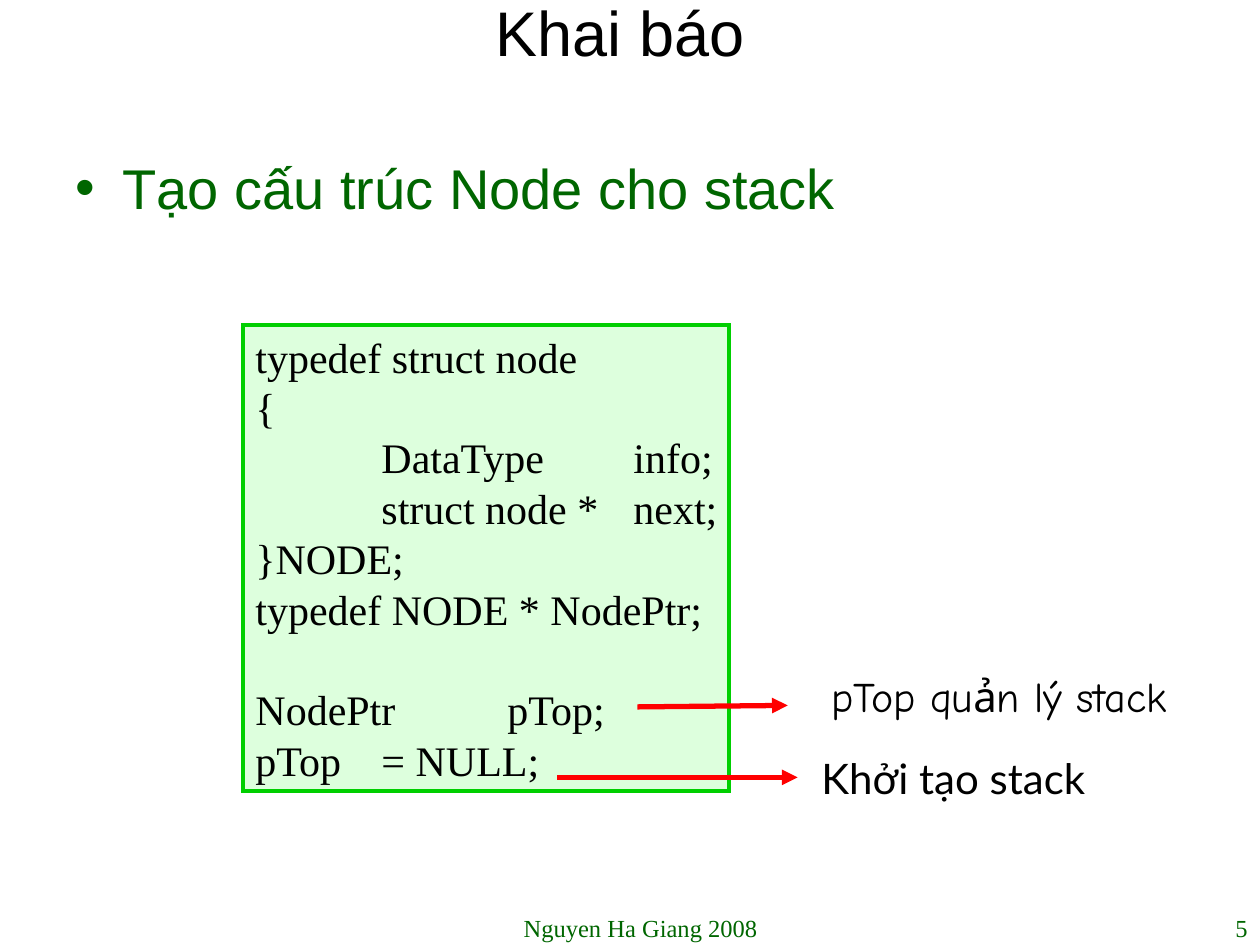
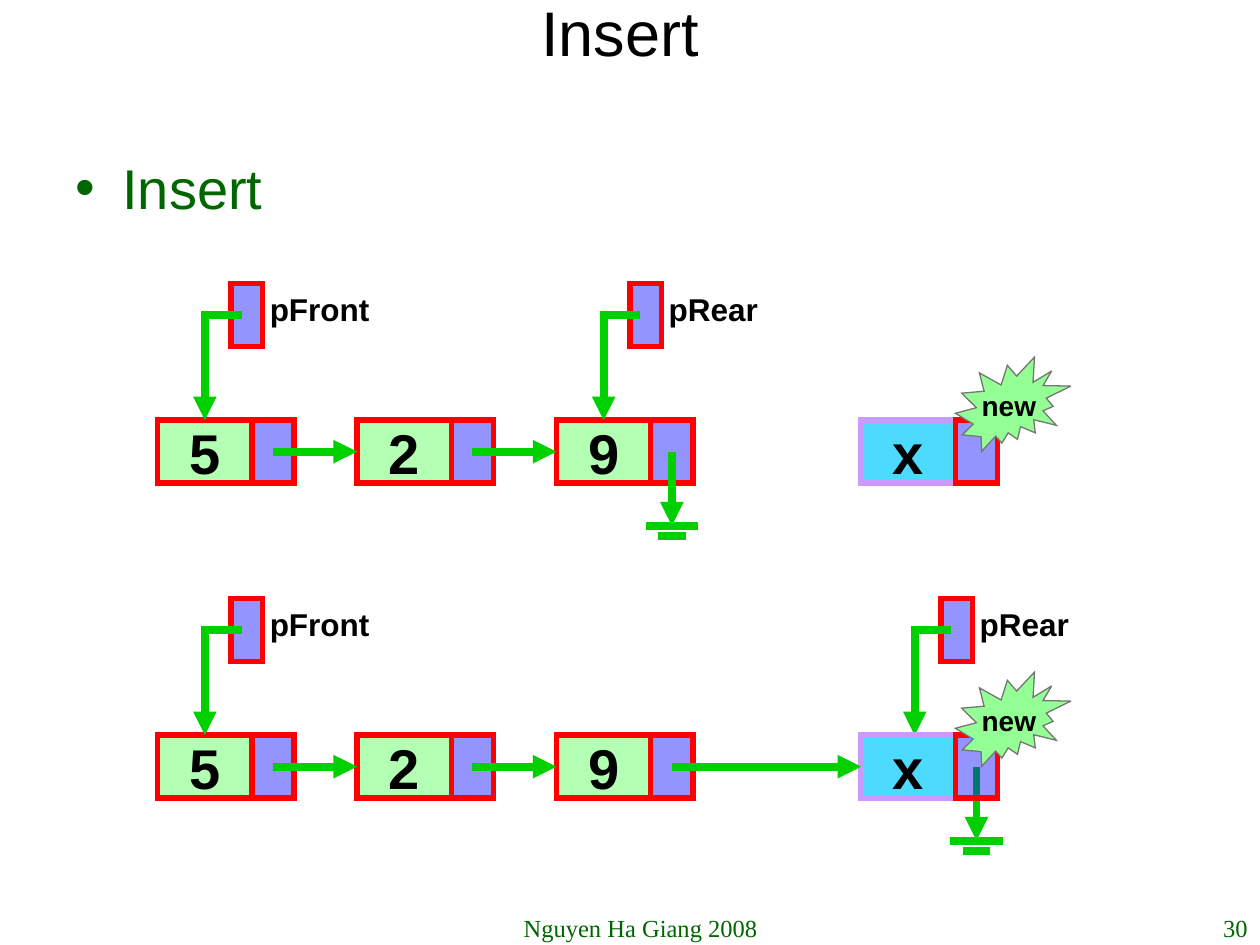
from lxml import etree
from pptx import Presentation
from pptx import util as u
from pptx.dml.color import RGBColor
from pptx.enum import shapes, text
from pptx.oxml.ns import qn

# Shared look; all lengths are centimetres
BLACK, DARK_GREEN, GREEN, RED = "000000", "006600", "00CF00", "FF0000"
LIME, BLUE, CYAN, LILAC, GREY = "94FF94", "0000FF", "00CCFF", "CC99FF", "757575"
SANS, SERIF = "Arial", "Times New Roman"
LEFT, CENTER, RIGHT = text.PP_ALIGN.LEFT, text.PP_ALIGN.CENTER, text.PP_ALIGN.RIGHT
TOP, MIDDLE = text.MSO_ANCHOR.TOP, text.MSO_ANCHOR.MIDDLE
FOOTER = "Nguyen Ha Giang 2008"

# Declaration slide
CODE = [
    "typedef struct node",
    "{",
    "\tDataType \tinfo;",
    "\tstruct node * \tnext;",
    "}NODE;",
    "typedef NODE * NodePtr;",
    "NodePtr \tpTop;",
    "pTop\t= NULL;",
]
CODE_PITCH = 28.8
TAB_STEP, TAB_COUNT = 2.54, 7
SECOND_PART = 6  # index of the code line that follows a one-line gap
CODE_NOTES = [  # wording, font, text area, arrow start, arrow end
    ("pTop quản lý stack", "Comic Neue", (16.51, 13.39, 7.37, 1.27),
     (12.85, 14.25), (15.88, 14.22)),
    ("Khởi tạo stack", "Lato", (16.31, 15.04, 6.5, 1.27),
     (11.23, 15.67), (16.08, 15.67)),
]

# Insert slide
VALUES = ["5", "2", "9"]
FIRST_X, NODE_STEP, NEW_X = 3.18, 4.02, 17.36
DATA_W, LINK_W, NODE_H = 1.9, 0.85, 1.27
LINK_MID = DATA_W + LINK_W / 2
NODE_XS = [FIRST_X + i * NODE_STEP for i in range(len(VALUES))] + [NEW_X]
QUEUES = [  # top of the nodes, pointers (label, node, shift), node that ends the list
    (8.47, [("pFront", 0, 0), ("pRear", 2, 0)], 2),
    (14.82, [("pFront", 0, 0), ("pRear", 3, 0.13)], 3),
]


def color(value):
    return RGBColor.from_string(value)


def write(box, lines, size, font, ink=BLACK, align=LEFT, anchor=TOP, bold=False, wrap=False):
    frame = box.text_frame
    frame.word_wrap = wrap
    frame.vertical_anchor = anchor
    frame.text = lines
    for para in frame.paragraphs:
        para.alignment = align
        for span in para.runs:
            span.font.size = u.Pt(size)
            span.font.name = font
            span.font.bold = bold
            span.font.color.rgb = color(ink)
    return frame


def set_tabs(para):
    stops = etree.SubElement(para._p.get_or_add_pPr(), qn("a:tabLst"))
    for i in range(1, TAB_COUNT + 1):
        etree.SubElement(stops, qn("a:tab"), pos=str(u.Cm(i * TAB_STEP)), algn="l")


def add_text(page, area, lines, size, font, **style):
    box = page.shapes.add_textbox(*map(u.Cm, area))
    return write(box, lines, size, font, **style)


def add_box(page, area, fill, line, width=3, opacity=100, kind=shapes.MSO_SHAPE.RECTANGLE):
    box = page.shapes.add_shape(kind, *map(u.Cm, area))
    box.shadow.inherit = False
    box.fill.solid()
    box.fill.fore_color.rgb = color(fill)
    if opacity < 100:
        tint = box.fill._xPr.find(".//" + qn("a:srgbClr"))
        etree.SubElement(tint, qn("a:alpha"), val=str(opacity * 1000))
    box.line.color.rgb = color(line)
    box.line.width = u.Pt(width)
    etree.SubElement(box._element.spPr.find(qn("a:ln")), qn("a:miter"), lim="800000")
    return box


def add_line(page, start, end, ink=GREEN, width=4.5, arrow=True):
    line = page.shapes.add_connector(shapes.MSO_CONNECTOR.STRAIGHT, *map(u.Cm, start + end))
    line.line.color.rgb = color(ink)
    line.line.width = u.Pt(width)
    properties = line._element.spPr
    if arrow:
        etree.SubElement(properties.find(qn("a:ln")), qn("a:tailEnd"), type="triangle")
    etree.SubElement(properties, qn("a:effectLst"))
    return line


def add_page(deck, title, bullet):
    page = deck.slides.add_slide(deck.slide_layouts[6])
    add_text(page, (1.07, 0, 22.86, 1.27), title, 36, SANS,
             align=CENTER, anchor=MIDDLE, wrap=True)
    body = add_text(page, (1.27, 2.97, 22.86, 14.6), bullet, 32, SANS,
                    ink=DARK_GREEN, wrap=True)
    para = body.paragraphs[0]
    para.space_before = u.Pt(8)
    properties = para._p.get_or_add_pPr()
    indent = u.Cm(0.95)
    properties.set("marL", str(indent))
    properties.set("indent", str(-indent))
    etree.SubElement(properties, qn("a:buFont"), typeface=SANS)
    etree.SubElement(properties, qn("a:buChar"), char="•")
    return page


def add_footer(page, number):
    for area, words, align in (((8.89, 18.29, 8.05, 0.69), FOOTER, CENTER),
                               ((19.48, 18.29, 5.92, 0.69), str(number), RIGHT)):
        add_text(page, area, words, 14, SERIF, ink=DARK_GREEN, align=align, wrap=True)


def add_node(page, x, y, value, fill=LIME, line=RED):
    data = add_box(page, (x, y, DATA_W, NODE_H), fill, line, opacity=70)
    write(data, value, 32, SANS, align=CENTER, anchor=MIDDLE, bold=True)
    add_box(page, (x + DATA_W, y, LINK_W, NODE_H), BLUE, RED, opacity=42)
    return data


def link_nodes(page, x, y, target_x, target):
    middle = y + NODE_H / 2
    arrow = add_line(page, (x + LINK_MID, middle), (target_x, middle))
    arrow.end_connect(target, 1)


def add_ground(page, x, y):
    """Draw the NULL sign that hangs from a node's link field."""
    x += LINK_MID
    y += NODE_H / 2
    add_line(page, (x, y), (x, y + 1.49))
    for drop, half in ((1.49, 0.53), (1.7, 0.28)):
        add_line(page, (x - half, y + drop), (x + half, y + drop), arrow=False)


def add_pointer(page, label, x, y, target=None):
    """Draw a labelled pointer whose arrow falls at x onto a node with top y."""
    left, top = x + 0.53, y - 2.75
    middle = top + NODE_H / 2
    add_box(page, (left, top, 0.64, NODE_H), BLUE, RED, opacity=42)
    add_line(page, (left + 0.21, middle), (x - 0.08, middle), arrow=False)
    arrow = add_line(page, (x, middle), (x, y))
    if target is not None:
        arrow.end_connect(target, 0)
    add_text(page, (left + 0.53, top, 3, 1.02), label, 18, SANS, bold=True)


def add_queue(page, y, pointers, last):
    nodes = [add_node(page, x, y, value) for x, value in zip(NODE_XS, VALUES)]
    for i in range(len(nodes) - 1):
        link_nodes(page, NODE_XS[i], y, NODE_XS[i + 1], nodes[i + 1])
    add_ground(page, NODE_XS[last], y)
    for label, index, shift in pointers:
        target = None if shift else nodes[index]
        add_pointer(page, label, NODE_XS[index] + DATA_W / 2 + shift, y, target)
    new_node = add_node(page, NEW_X, y, "x", CYAN, LILAC)
    badge = add_box(page, (NEW_X + DATA_W, y - 1.27, 2.33, 1.9), LIME, GREY, 0.75,
                    kind=shapes.MSO_SHAPE.EXPLOSION2)
    write(badge, "new", 16, SANS, align=CENTER, anchor=MIDDLE, bold=True)
    if last == len(nodes):
        link_nodes(page, NODE_XS[last - 1], y, NEW_X, new_node)


def build_declaration(deck):
    page = add_page(deck, "Khai báo", "Tạo cấu trúc Node cho stack")
    code_box = add_box(page, (4.9, 6.55, 9.8, 9.4), "CCFFCC", GREEN, 2.25, opacity=66)
    code = write(code_box, "\n".join(CODE), 24, SERIF)
    for para in code.paragraphs:
        para.line_spacing = u.Pt(CODE_PITCH)
        set_tabs(para)
    code.paragraphs[SECOND_PART].space_before = u.Pt(CODE_PITCH)
    for words, font, area, start, end in CODE_NOTES:
        add_text(page, area, words, 24, font)
        add_line(page, start, end, RED, 3)
    add_footer(page, 5)


def build_insert(deck):
    page = add_page(deck, "Insert", "Insert")
    for y, pointers, last in QUEUES:
        add_queue(page, y, pointers, last)
    add_footer(page, 30)


def main():
    deck = Presentation()
    deck.slide_width, deck.slide_height = u.Cm(25.4), u.Cm(19.05)
    build_declaration(deck)
    build_insert(deck)
    deck.save("out.pptx")


if __name__ == "__main__":
    main()
